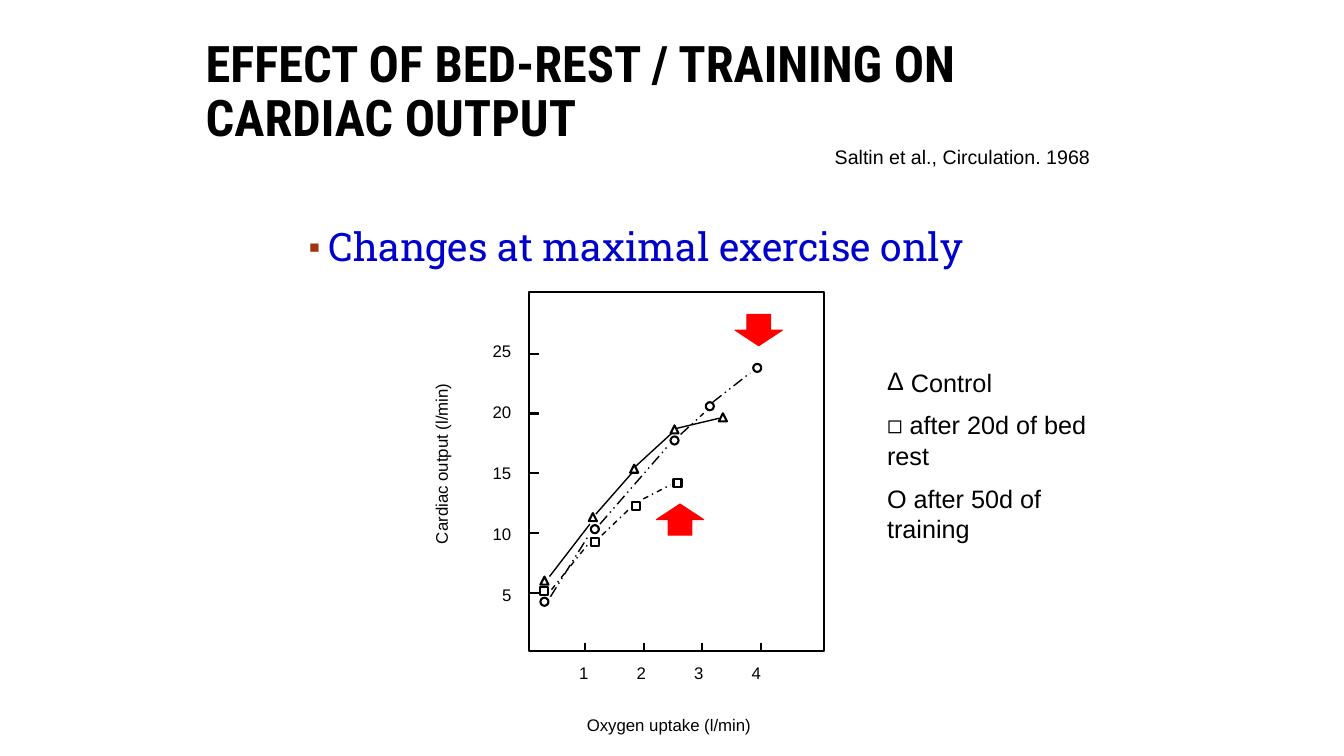
from dataclasses import dataclass

from lxml.etree import SubElement
from pptx import Presentation
from pptx.dml.color import RGBColor
from pptx.enum.dml import MSO_LINE
from pptx.enum.shapes import MSO_CONNECTOR, MSO_SHAPE
from pptx.enum.text import MSO_ANCHOR, MSO_AUTO_SIZE, PP_ALIGN
from pptx.oxml.ns import qn
from pptx.util import Inches, Pt


@dataclass(frozen=True)
class Theme:
    """Fonts, colours, type sizes and line widths of the slide."""
    title_font: str = "Roboto Condensed"
    body_font: str = "Roboto Slab"
    label_font: str = "Arial"
    ink: str = "000000"
    body_blue: str = "0000CC"
    bullet: str = "9E3611"
    highlight: str = "FF0000"
    title_size: int = 36
    body_size: int = 28
    legend_size: int = 18
    citation_size: int = 14
    axis_size: int = 12
    frame_width: float = 1.5
    series_width: float = 1
    arrow_width: float = 0.75


@dataclass(frozen=True)
class Box:
    """A region of the slide in inches."""
    left: float
    top: float
    width: float
    height: float

    def inner(self, left, top, width, height):
        """Return a box offset from this one."""
        return Box(self.left + left, self.top + top, width, height)

    def lengths(self):
        """Return the left, top, width and height as lengths."""
        return [Inches(value) for value in (self.left, self.top, self.width, self.height)]


@dataclass(frozen=True)
class Series:
    """Marker corners and line segments, offset from the plot frame."""
    marker: MSO_SHAPE
    dash: MSO_LINE
    points: tuple
    segments: tuple


THEME = Theme()
MARKER_SIZE = 0.08
BED_REST = Series(
    MSO_SHAPE.RECTANGLE, MSO_LINE.DASH_DOT,
    ((0.11, 2.92), (0.61, 2.44), (1.02, 2.08), (1.43, 1.85)),
    ((0.22, 2.95, 0.59, 2.49), (0.72, 2.41, 0.98, 2.16), (1.13, 2.05, 1.4, 1.91)))
CONTROL = Series(
    MSO_SHAPE.ISOSCELES_TRIANGLE, MSO_LINE.SOLID,
    ((0.11, 2.82), (0.59, 2.19), (1, 1.71), (1.4, 1.32), (1.88, 1.2)),
    ((0.2, 2.82, 0.6, 2.3), (0.66, 2.2, 1.02, 1.79),
     (1.05, 1.73, 1.41, 1.4), (1.46, 1.35, 1.88, 1.25)))
TRAINING = Series(
    MSO_SHAPE.OVAL, MSO_LINE.DASH_DOT_DOT,
    ((0.11, 3.03), (0.61, 2.31), (1.4, 1.43), (1.75, 1.09), (2.22, 0.71)),
    ((0.21, 3.02, 0.59, 2.41), (0.7, 2.3, 1.37, 1.53),
     (1.5, 1.41, 1.73, 1.2), (1.82, 1.09, 2.19, 0.8)))


def add_run(paragraph, text, font, size, color, bold=False):
    """Add one formatted run to a paragraph."""
    run = paragraph.add_run()
    run.text = text
    run.font.name = font
    run.font.size = Pt(size)
    run.font.bold = bold
    run.font.color.rgb = RGBColor.from_string(color)


def add_bullet(paragraph, character, indent=0, color=None, percent=100):
    """Give a paragraph a bullet character with a hanging indent."""
    properties = paragraph._p.get_or_add_pPr()
    properties.set("marL", str(Inches(indent)))
    properties.set("indent", str(-Inches(indent)))
    if color:
        SubElement(SubElement(properties, qn("a:buClr")), qn("a:srgbClr"), val=color)
    SubElement(properties, qn("a:buSzPct"), val=str(percent * 1000))
    SubElement(properties, qn("a:buFont"), typeface=THEME.label_font)
    SubElement(properties, qn("a:buChar"), char=character)


def add_label(shapes, box, text, size, alignment=PP_ALIGN.CENTER):
    """Add a one-line text box and return it."""
    label = shapes.add_textbox(*box.lengths())
    label.text_frame.word_wrap = False
    paragraph = label.text_frame.paragraphs[0]
    paragraph.alignment = alignment
    add_run(paragraph, text, THEME.label_font, size, THEME.ink)
    return label


def add_outline(shapes, kind, box, width, color=THEME.ink):
    """Add an unfilled preset shape and return it."""
    shape = shapes.add_shape(kind, *box.lengths())
    shape.shadow.inherit = False
    shape.fill.background()
    shape.line.color.rgb = RGBColor.from_string(color)
    shape.line.width = Pt(width)
    return shape


def add_line(shapes, box, segment, width, dash=MSO_LINE.SOLID):
    """Add a straight line whose ends are offset from a box."""
    start_x, start_y, end_x, end_y = segment
    line = shapes.add_connector(
        MSO_CONNECTOR.STRAIGHT, Inches(box.left + start_x), Inches(box.top + start_y),
        Inches(box.left + end_x), Inches(box.top + end_y))
    line.line.color.rgb = RGBColor.from_string(THEME.ink)
    line.line.width = Pt(width)
    line.line.dash_style = dash
    SubElement(line._element.spPr, qn("a:effectLst"))


def fill_placeholder(placeholder, box, anchor):
    """Move a placeholder and return its prepared first paragraph."""
    placeholder.left, placeholder.top, placeholder.width, placeholder.height = box.lengths()
    frame = placeholder.text_frame
    frame.auto_size = MSO_AUTO_SIZE.NONE
    frame.vertical_anchor = anchor
    paragraph = frame.paragraphs[0]
    paragraph.alignment = PP_ALIGN.LEFT
    paragraph.line_spacing = 0.9
    paragraph.space_before = Pt(0)
    return paragraph


def build_heading(slide, box):
    """Fill the title, the citation below it and the key message."""
    title = fill_placeholder(slide.shapes.title, box, MSO_ANCHOR.MIDDLE)
    add_run(title, "EFFECT OF BED-REST / TRAINING ON CARDIAC OUTPUT",
            THEME.title_font, THEME.title_size, THEME.ink, True)
    add_label(slide.shapes, box.inner(6.24, 1.09, 2.75, 0.34),
              "Saltin et al., Circulation. 1968", THEME.citation_size, PP_ALIGN.LEFT)
    message = fill_placeholder(slide.placeholders[1], box.inner(1.02, 1.91, 8.5, 0.61),
                               MSO_ANCHOR.TOP)
    add_bullet(message, "▪", 0.2, THEME.bullet, 85)
    add_run(message, "Changes at maximal exercise only",
            THEME.body_font, THEME.body_size, THEME.body_blue)


def build_series(slide, box, series):
    """Draw the markers and segments of one series as a group."""
    shapes = slide.shapes.add_group_shape().shapes
    for left, top in series.points:
        add_outline(shapes, series.marker, box.inner(left, top, MARKER_SIZE, MARKER_SIZE),
                    THEME.frame_width)
    for segment in series.segments:
        add_line(shapes, box, segment, THEME.series_width, series.dash)


def build_axes(slide, box):
    """Draw the plot frame with its ticks, numbers and axis titles."""
    shapes = slide.shapes.add_group_shape().shapes
    add_outline(shapes, MSO_SHAPE.RECTANGLE, box, THEME.frame_width)
    for index in range(4):
        tick = 0.55 + index * 1.75 / 3
        add_line(shapes, box, (tick, box.height - 0.08, tick, box.height), THEME.frame_width)
        add_label(shapes, box.inner(0.39 + 0.57 * index, box.height + 0.07, 0.3, 0.3),
                  str(index + 1), THEME.axis_size)
    for index in range(5):
        tick = 2.98 - index * 2.37 / 4
        add_line(shapes, box, (0, tick, 0.1, tick), THEME.frame_width)
        add_label(shapes, box.inner(-0.47, 2.85 - index * 2.42 / 4, 0.39, 0.3),
                  str(5 * (index + 1)), THEME.axis_size, PP_ALIGN.RIGHT)
    add_label(shapes, box.inner(0.47, 4.14, 1.83, 0.3), "Oxygen uptake (l/min)",
              THEME.axis_size)
    vertical_title = add_label(shapes, box.inner(-1.77, 1.55, 1.79, 0.3),
                               "Cardiac output (l/min)", THEME.axis_size)
    vertical_title.rotation = 270


def build_plot(slide, box):
    """Draw the three series, the axes and the arrows at the maxima."""
    for series in (BED_REST, CONTROL, TRAINING):
        build_series(slide, box, series)
    build_axes(slide, box)
    for left, top, rotation in ((2.04, 0.22, 180), (1.26, 2.1, 0)):
        arrow = add_outline(slide.shapes, MSO_SHAPE.UP_ARROW, box.inner(left, top, 0.47, 0.31),
                            THEME.arrow_width, THEME.highlight)
        arrow.fill.solid()
        arrow.fill.fore_color.rgb = RGBColor.from_string(THEME.highlight)
        arrow.rotation = rotation


def build_legend(slide, box):
    """List the three conditions with their marker symbols."""
    frame = slide.shapes.add_textbox(*box.lengths()).text_frame
    frame.word_wrap = True
    control = frame.paragraphs[0]
    add_bullet(control, "Δ")
    add_run(control, " Control", THEME.label_font, THEME.legend_size, THEME.ink)
    for text in ("◻ after 20d of bed rest", "Ο after 50d of training"):
        paragraph = frame.add_paragraph()
        paragraph.space_before = Pt(THEME.legend_size / 2)
        add_run(paragraph, text, THEME.label_font, THEME.legend_size, THEME.ink)


def main():
    """Build the slide and save the presentation."""
    presentation = Presentation()
    presentation.slide_width = Inches(13.33)
    presentation.slide_height = Inches(7.5)
    slide = presentation.slides.add_slide(presentation.slide_layouts[1])
    build_heading(slide, Box(1.94, 0.3, 9.45, 1.25))
    build_plot(slide, Box(5.25, 2.9, 2.92, 3.56))
    build_legend(slide, Box(8.7, 3.59, 2.42, 1.92))
    presentation.save("out.pptx")


if __name__ == "__main__":
    main()
